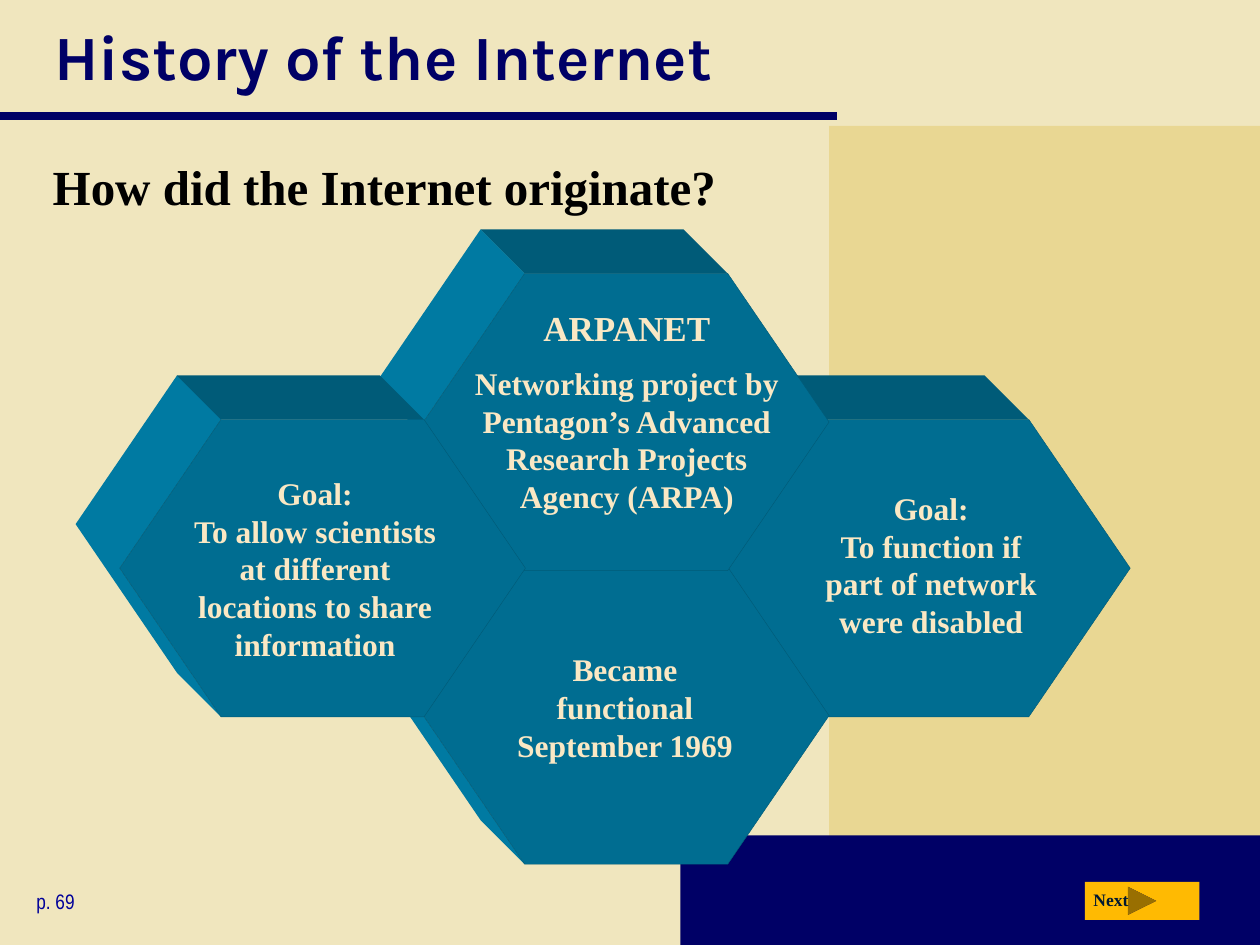
from dataclasses import dataclass
from lxml import etree
from pptx import Presentation
from pptx.dml.color import RGBColor
from pptx.enum.shapes import MSO_CONNECTOR, MSO_SHAPE
from pptx.enum.text import MSO_ANCHOR, PP_ALIGN
from pptx.oxml.ns import qn
from pptx.util import Inches, Pt

LEFT, CENTER = PP_ALIGN.LEFT, PP_ALIGN.CENTER
TOP, MIDDLE, BOTTOM = MSO_ANCHOR.TOP, MSO_ANCHOR.MIDDLE, MSO_ANCHOR.BOTTOM
RECT, HEXAGON = MSO_SHAPE.RECTANGLE, MSO_SHAPE.HEXAGON
FORWARD = MSO_SHAPE.ACTION_BUTTON_FORWARD_OR_NEXT


@dataclass(frozen=True)
class Theme:
    paper: str = "F0E6BE"
    sand: str = "E9D793"
    navy: str = "000066"
    blue: str = "000099"
    gold: str = "FFBA02"
    ink: str = "001932"
    black: str = "000000"
    cream: str = "FAE8C4"
    front: str = "006D91"
    side: str = "007AA2"
    top: str = "005B78"
    head: str = "Karla"
    body: str = "Times New Roman"
    small: str = "Arial Narrow"
    title: int = 36
    question: int = 28
    lead: int = 20
    text: int = 18
    page: int = 12
    button: int = 10


T = Theme()
WIDE, HIGH = 10, 7.5

TITLE = "History of the Internet"
QUESTION = "How did the Internet originate?"
# Back to front: column, row, text box (left, top, width, height), anchor, (text, size)
CELLS = [
    (2, 1, (6.38, 3.83, 2.02, 1.3), TOP,
     [("Goal:\vTo function if part of network were disabled", T.text)]),
    (1, 2, (3.92, 5.11, 2.08, 1), TOP,
     [("Became functional September 1969", T.text)]),
    (1, 0, (3.66, 2.38, 2.63, 1.79), TOP,
     [("ARPANET", T.lead),
      ("Networking project by Pentagon’s Advanced Research Projects Agency (ARPA)",
       T.text)]),
    (0, 1, (1.39, 3.41, 2.22, 1.9), BOTTOM,
     [("Goal:\vTo allow scientists at different locations to share information",
       T.text)]),
]

# Hexagon size, corner inset, extrusion depth and honeycomb grid
HEX_W, HEX_H, ADJ, DEPTH = 3.22, 2.36, 0.341, 0.35
INSET = ADJ * HEX_H
COLS = (0.95, 3.36, 5.75)
ROWS = (2.17, 3.33, 4.5)

deck = Presentation()
deck.slide_width, deck.slide_height = Inches(WIDE), Inches(HIGH)
slide = deck.slides.add_slide(deck.slide_layouts[5])
shapes = slide.shapes


def rgb(code):
    return RGBColor.from_string(code)


def paint(shape, color):
    shape.shadow.inherit = False
    shape.fill.solid()
    shape.fill.fore_color.rgb = rgb(color)
    shape.line.fill.background()
    return shape


def block(kind, box, color):
    return paint(shapes.add_shape(kind, *map(Inches, box)), color)


def style(para, size, face, color, bold=True):
    for run in para.runs:
        font = run.font
        font.size, font.name, font.bold = Pt(size), face, bold
        font.color.rgb = rgb(color)


def label(box, lines, face, color, bold=True, align=LEFT, anchor=TOP, wrap=True):
    frame = shapes.add_textbox(*map(Inches, box)).text_frame
    frame.word_wrap, frame.vertical_anchor = wrap, anchor
    frame.text = "\n".join(text for text, _ in lines)
    for n, (para, (_, size)) in enumerate(zip(frame.paragraphs, lines)):
        para.alignment = align
        if n:
            para.space_before = Pt(size / 2)
        style(para, size, face, color, bold)


def sweep(edge, color):
    """Fill the area an edge covers when extruded to the upper left."""
    back = [(x - DEPTH, y - DEPTH) for x, y in reversed(edge)]
    spots = [(Inches(x), Inches(y)) for x, y in edge + back]
    form = shapes.build_freeform(*spots[0])
    form.add_line_segments(spots[1:], close=True)
    paint(form.convert_to_shape(), color)


def prism(x, y):
    """Draw a hexagon extruded towards the upper left."""
    edge = [(x + INSET, y + HEX_H), (x, y + HEX_H / 2),
            (x + INSET, y), (x + HEX_W - INSET, y)]
    sweep(edge[:3], T.side)
    sweep(edge[2:], T.top)
    front = block(HEXAGON, (x, y, HEX_W, HEX_H), T.front)
    front.adjustments[0] = ADJ
    front.line.color.rgb, front.line.width = rgb(T.top), Pt(0.25)


def main():
    fill = slide.background.fill
    fill.solid()
    fill.fore_color.rgb = rgb(T.paper)

    block(RECT, (6.58, 1, WIDE - 6.58, HIGH - 1), T.sand)
    block(RECT, (5.4, 6.63, WIDE - 5.4, HIGH - 6.63), T.navy)
    rule = shapes.add_connector(MSO_CONNECTOR.STRAIGHT, 0, Inches(0.92),
                                Inches(6.64), Inches(0.92))
    rule.line.color.rgb, rule.line.width = rgb(T.navy), Pt(5)
    etree.SubElement(rule._element.spPr, qn("a:effectLst"))

    title = shapes.title
    title.left, title.top, title.width, title.height = map(
        Inches, (0.33, 0, 9.39, 0.88))
    title.text_frame.text = TITLE
    title.text_frame.vertical_anchor = MIDDLE
    para = title.text_frame.paragraphs[0]
    para.alignment = LEFT
    style(para, T.title, T.head, T.navy)

    label((0.32, 1.19, 9.39, 0.72), [(QUESTION, T.question)], T.body, T.black)
    block(FORWARD, (8.61, 7, 0.91, 0.3), T.gold)
    label((8.58, 7.01, 0.51, 0.27), [("Next", T.button)], T.body, T.ink, wrap=False)
    label((0.19, 7, 1.69, 0.3), [("p. 69", T.page)], T.small, T.blue, bold=False)

    for col, row, box, anchor, lines in CELLS:
        prism(COLS[col], ROWS[row])
        label(box, lines, T.body, T.cream, align=CENTER, anchor=anchor)

    deck.save("out.pptx")


if __name__ == "__main__":
    main()
